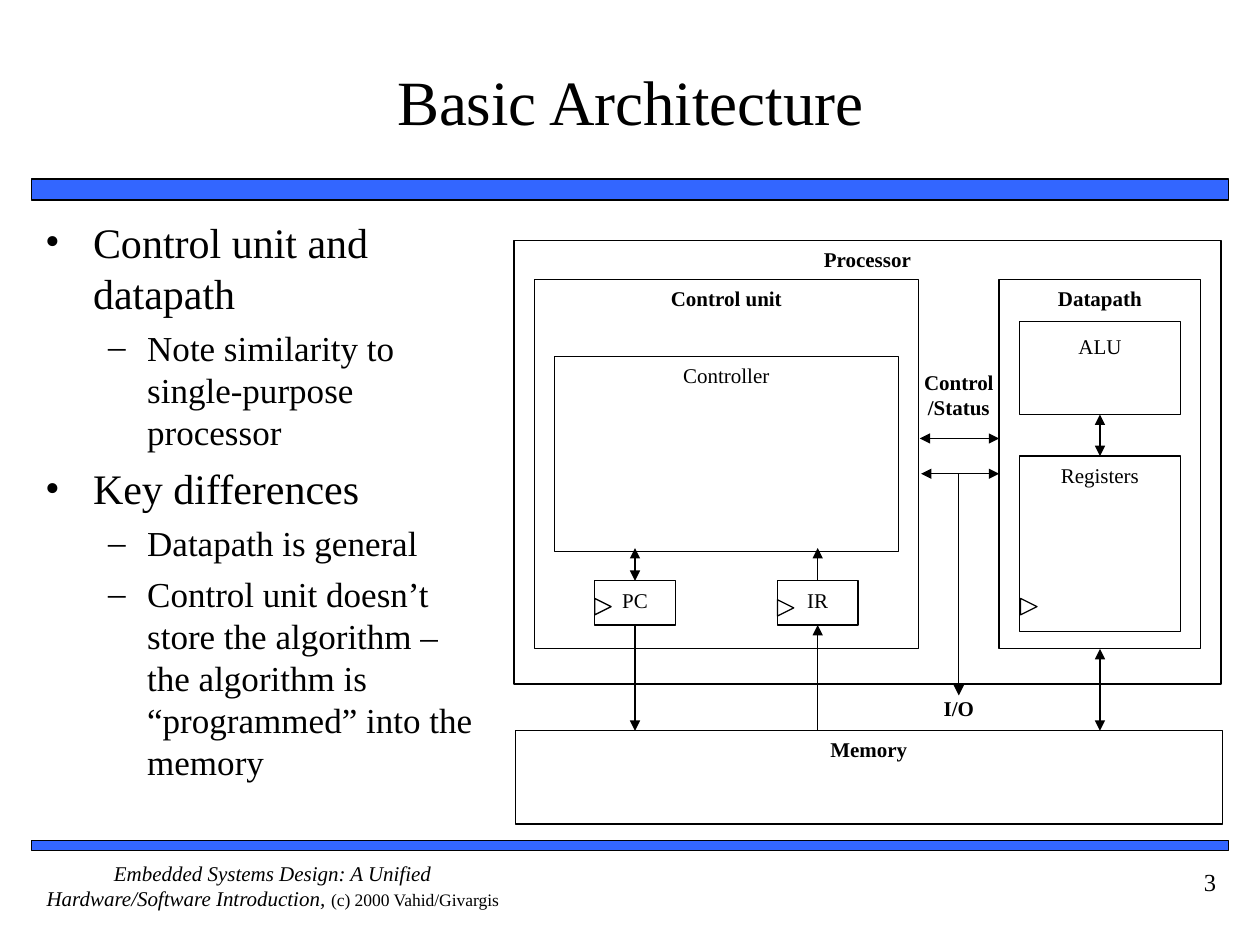
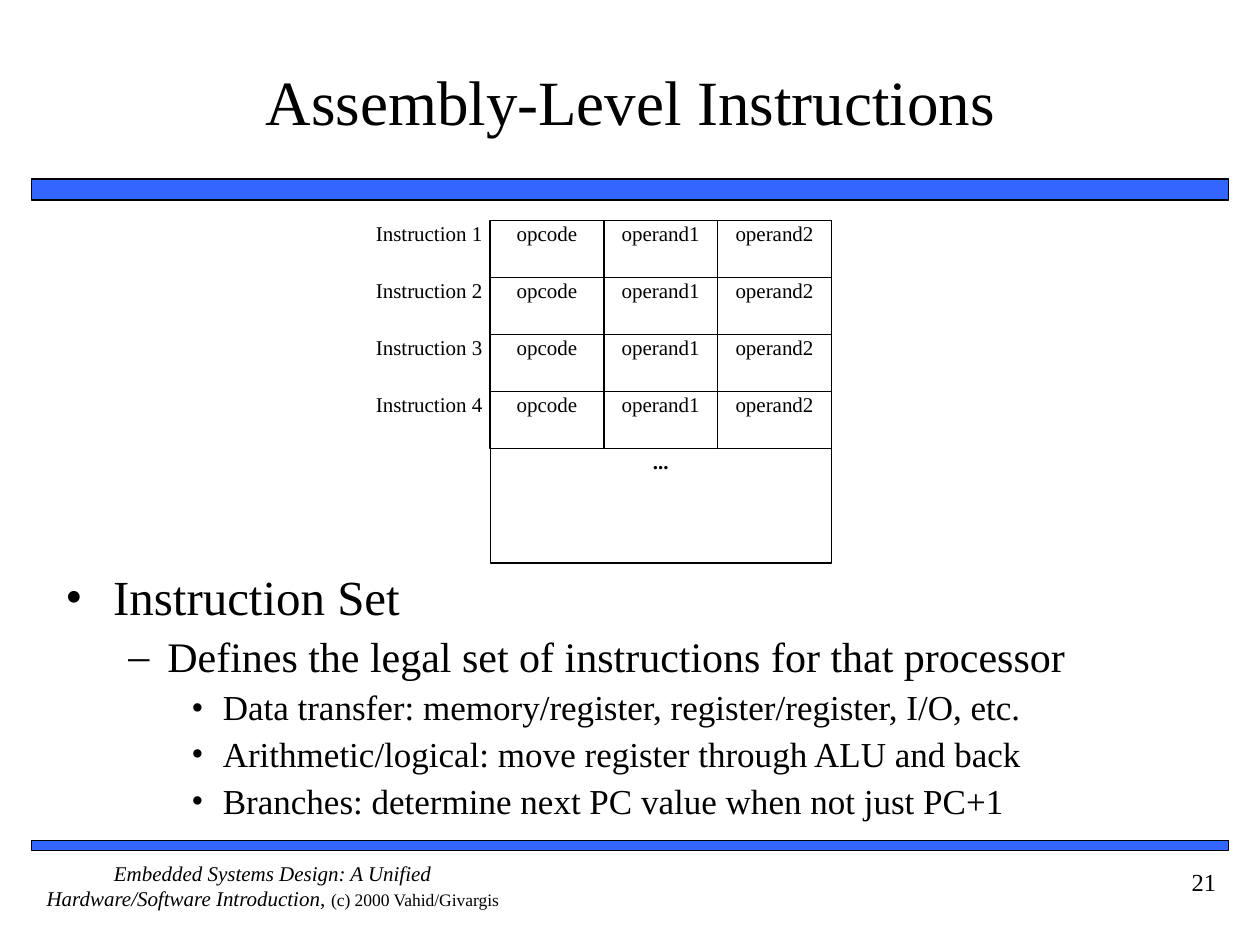
import pptx
import pptx.dml.color
import pptx.enum.shapes
import pptx.enum.text
import pptx.oxml.ns
import pptx.util
from lxml import etree
from pptx.util import Inches

FONT = "Times New Roman"
BLACK = pptx.dml.color.RGBColor(0x00, 0x00, 0x00)
WHITE = pptx.dml.color.RGBColor(0xFF, 0xFF, 0xFF)
BLUE = pptx.dml.color.RGBColor(0x33, 0x66, 0xFF)

ALIGN = pptx.enum.text.PP_ALIGN
ANCHOR = pptx.enum.text.MSO_ANCHOR
SHAPE = pptx.enum.shapes.MSO_SHAPE
TOP, BOTTOM = 0, 2  # connection sites of a rectangle
PADDED = (0.1, 0.05, 0.1, 0.05)
TIGHT = (0, 0, 0, 0)

# left margin, hanging indent and bullet of each outline level
LEVELS = [(0.38, 0.38, "•"), (0.81, 0.31, "–"), (1.25, 0.25, "•")]


# --- Text ---
def add_span(para, text, size=12, bold=False, italic=False):
    span = para.add_run()
    span.text = text
    font = span.font
    font.name, font.size = FONT, pptx.util.Pt(size)
    font.bold, font.italic = bold, italic
    font.color.rgb = BLACK


def set_frame(box, insets, anchor=ANCHOR.TOP):
    frame = box.text_frame
    frame.word_wrap = True
    frame.vertical_anchor = anchor
    (frame.margin_left, frame.margin_top,
     frame.margin_right, frame.margin_bottom) = map(Inches, insets)
    return frame


def write_lines(box, lines, insets, align=ALIGN.CENTER, anchor=ANCHOR.TOP, **style):
    frame = set_frame(box, insets, anchor)
    for index, line in enumerate(lines):
        para = frame.paragraphs[0] if index == 0 else frame.add_paragraph()
        para.alignment = align
        add_span(para, line, **style)
    return frame


def add_text(slide, place, lines, insets=TIGHT, **style):
    box = slide.shapes.add_textbox(*map(Inches, place))
    return write_lines(box, lines, insets, **style)


def add_outline(slide, place, items, sizes, line_spacing=1.0):
    """Bulleted list; items are (level, text), sizes go by level."""
    box = slide.shapes.add_textbox(*map(Inches, place))
    frame = set_frame(box, PADDED)
    for index, (level, text) in enumerate(items):
        para = frame.paragraphs[0] if index == 0 else frame.add_paragraph()
        para.level = level
        para.alignment = ALIGN.LEFT
        para.line_spacing = line_spacing
        para.space_before = pptx.util.Pt(sizes[level] // 4)
        add_bullet(para, level)
        add_span(para, text, sizes[level])


def add_bullet(para, level):
    margin, hanging, mark = LEVELS[level]
    props = para._p.get_or_add_pPr()
    props.set("marL", str(Inches(margin)))
    props.set("indent", str(-Inches(hanging)))
    qn = pptx.oxml.ns.qn
    color = etree.SubElement(props, qn("a:buClr"))
    etree.SubElement(color, qn("a:srgbClr"), val=str(BLACK))
    etree.SubElement(props, qn("a:buFont"), typeface=FONT)
    etree.SubElement(props, qn("a:buChar"), char=mark)


# --- Shapes and arrows ---
def add_outlined(slide, place, fill=None, kind=SHAPE.RECTANGLE, line_width=0.75):
    shape = slide.shapes.add_shape(kind, *map(Inches, place))
    shape.shadow.inherit = False
    if fill is None:
        shape.fill.background()
    else:
        shape.fill.solid()
        shape.fill.fore_color.rgb = fill
    shape.line.color.rgb = BLACK
    shape.line.width = pptx.util.Pt(line_width)
    return shape


def add_block(slide, place, label, fill=None, insets=PADDED, bold=False):
    block = add_outlined(slide, place, fill)
    write_lines(block, [label], insets, bold=bold)
    return block


def add_clock_mark(slide, left, top):
    mark = add_outlined(slide, (left, top, 0.13, 0.13), kind=SHAPE.ISOSCELES_TRIANGLE)
    mark.rotation = 90


def add_arrow(slide, start, end, both=False, begin=None, finish=None):
    """Arrow to end; begin and finish are (shape, site) joints."""
    arrow = slide.shapes.add_connector(
        pptx.enum.shapes.MSO_CONNECTOR.STRAIGHT, *map(Inches, start + end))
    if begin:
        arrow.begin_connect(*begin)
    if finish:
        arrow.end_connect(*finish)
    arrow.line.color.rgb = BLACK
    arrow.line.width = pptx.util.Pt(0.75)
    qn = pptx.oxml.ns.qn
    line = arrow.line._get_or_add_ln()
    for tip in ("a:headEnd", "a:tailEnd") if both else ("a:tailEnd",):
        etree.SubElement(line, qn(tip), type="triangle")
    etree.SubElement(arrow._element.spPr, qn("a:effectLst"))


# --- Parts shared by the slides ---
def add_page(deck, title, number):
    slide = deck.slides.add_slide(deck.slide_layouts[6])
    for top, height in ((1.42, 0.17), (6.67, 0.08)):
        add_outlined(slide, (0.25, top, 9.5, height), BLUE, line_width=1)
    footer = add_text(slide, (0.25, 6.83, 3.83, 0.5),
                      ["Embedded Systems Design: A Unified Hardware/Software Introduction, "],
                      italic=True)
    add_span(footer.paragraphs[0], "(c) 2000 Vahid/Givargis", 10)
    add_text(slide, (0.42, 0.17, 9.17, 1.25), [title], (0, 0.05, 0, 0.05),
             anchor=ANCHOR.MIDDLE, size=36)
    page_number = add_text(slide, (8.75, 6.83, 1, 0.5), [str(number)], PADDED,
                           align=ALIGN.RIGHT, size=14)
    page_number.paragraphs[0].space_before = pptx.util.Pt(8.8)
    return slide


# --- Slide: Basic Architecture ---
def draw_processor(slide):
    # Nested units
    add_block(slide, (4.08, 1.91, 5.61, 3.52), "Processor", bold=True)
    add_block(slide, (4.24, 2.22, 3.05, 2.93), "Control unit", bold=True)
    datapath = add_block(slide, (7.93, 2.22, 1.6, 2.93), "Datapath", bold=True)
    alu = add_block(slide, (8.09, 2.55, 1.28, 0.74), "ALU", WHITE, (0.1, 0.1, 0.1, 0.05))
    registers = add_block(slide, (8.09, 3.62, 1.28, 1.39), "Registers", WHITE)
    ir = add_block(slide, (6.17, 4.61, 0.64, 0.35), "IR", WHITE)
    pc = add_block(slide, (4.72, 4.61, 0.64, 0.35), "PC", WHITE)
    add_block(slide, (4.4, 2.83, 2.73, 1.55), "Controller", WHITE)
    add_block(slide, (4.09, 5.8, 5.61, 0.74), "Memory", WHITE, bold=True)

    # Links between the units
    pc_x, ir_x, data_x, io_x = 5.04, 6.49, 8.73, 7.61
    add_arrow(slide, (ir_x, 4.61), (ir_x, 4.35), begin=(ir, TOP))
    add_arrow(slide, (pc_x, 4.61), (pc_x, 4.35), both=True, begin=(pc, TOP))
    add_arrow(slide, (pc_x, 4.96), (pc_x, 5.8), begin=(pc, BOTTOM))
    add_arrow(slide, (ir_x, 5.8), (ir_x, 4.96), finish=(ir, BOTTOM))
    add_arrow(slide, (data_x, 3.29), (data_x, 3.62), both=True,
              begin=(alu, BOTTOM), finish=(registers, TOP))
    add_arrow(slide, (data_x, 5.15), (data_x, 5.8), both=True, begin=(datapath, BOTTOM))
    add_arrow(slide, (7.3, 3.48), (7.93, 3.48), both=True)
    for end in ((7.93, 3.76), (io_x, 5.52), (7.31, 3.76)):
        add_arrow(slide, (io_x, 3.76), end)

    # Link labels and clock inputs
    add_text(slide, (7.37, 5.52, 0.48, 0.28), ["I/O"], bold=True)
    add_text(slide, (7.29, 2.93, 0.64, 0.56), ["Control", "/Status"], bold=True)
    for left, top in ((4.72, 4.75), (6.17, 4.76), (8.1, 4.75)):
        add_clock_mark(slide, left, top)


def build_architecture(deck):
    slide = add_page(deck, "Basic Architecture", 3)
    add_outline(slide, (0.26, 1.67, 3.71, 4.92), [
        (0, "Control unit and datapath"),
        (1, "Note similarity to single-purpose processor"),
        (0, "Key differences"),
        (1, "Datapath is general"),
        (1, "Control unit doesn’t store the algorithm – the algorithm is "
            "“programmed” into the memory"),
    ], sizes=(24, 20))
    draw_processor(slide)


# --- Slide: Assembly-Level Instructions ---
def draw_program(slide):
    left, top, width, height = 3.89, 1.75, 0.903, 0.453
    add_outlined(slide, (left, top, 3 * width, 6 * height), WHITE)
    for row in range(4):
        row_top = top + row * height
        add_text(slide, (2.67, row_top, 1.16, height), [f"Instruction {row + 1}"],
                 align=ALIGN.RIGHT)
        for column, field in enumerate(("opcode", "operand1", "operand2")):
            add_block(slide, (left + column * width, row_top, width, height),
                      field, insets=TIGHT)
    add_text(slide, (left + width, top + 4 * height, width, height), ["..."], bold=True)


def build_instructions(deck):
    slide = add_page(deck, "Assembly-Level Instructions", 21)
    draw_program(slide)
    add_outline(slide, (0.42, 4.5, 9.17, 2.08), [
        (0, "Instruction Set"),
        (1, "Defines the legal set of instructions for that processor"),
        (2, "Data transfer: memory/register, register/register, I/O, etc."),
        (2, "Arithmetic/logical: move register through ALU and back"),
        (2, "Branches: determine next PC value when not just PC+1"),
    ], sizes=(28, 24, 20), line_spacing=0.9)


def main():
    deck = pptx.Presentation()
    deck.slide_width, deck.slide_height = Inches(10), Inches(7.5)
    build_architecture(deck)
    build_instructions(deck)
    deck.save("out.pptx")


if __name__ == "__main__":
    main()
